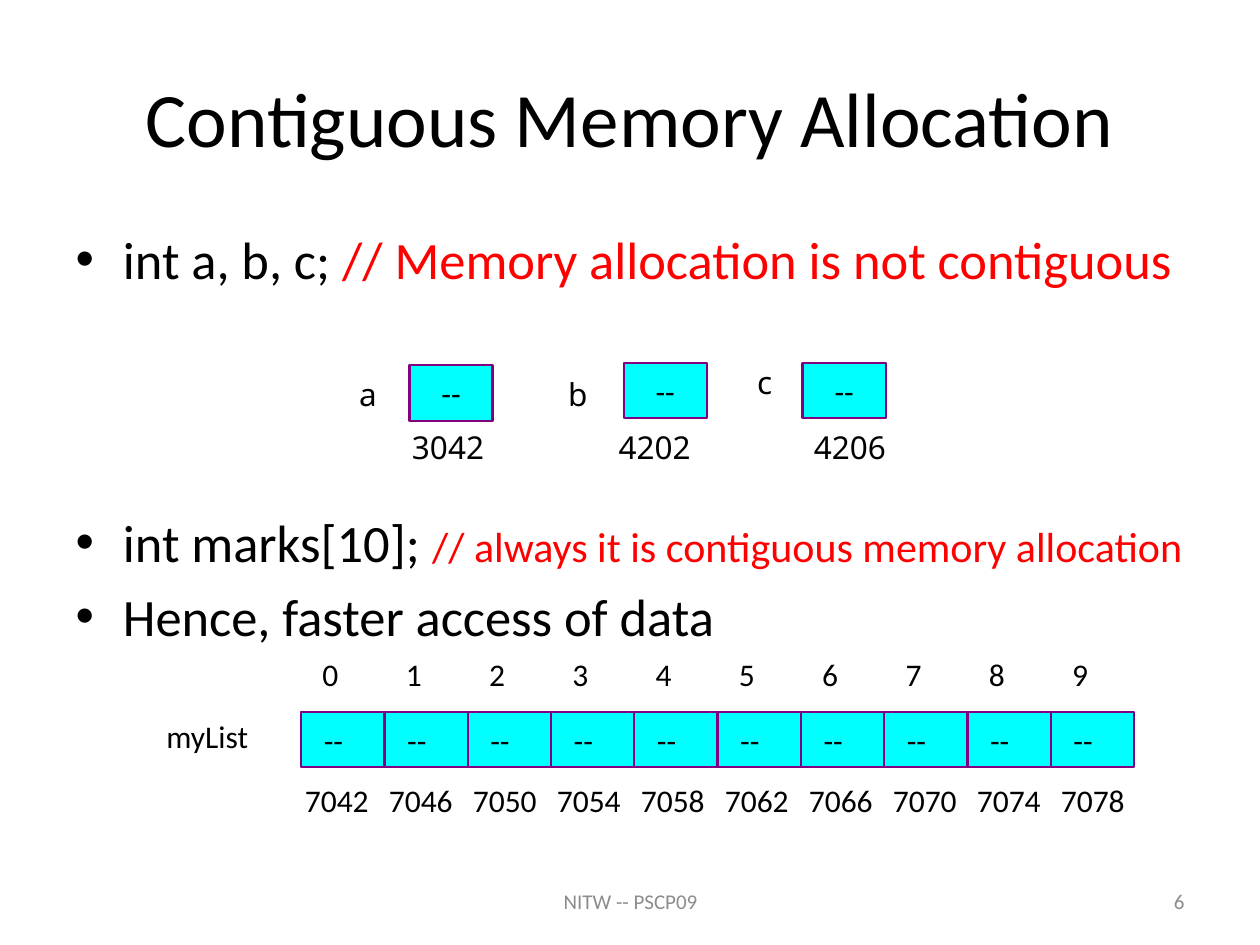
import pptx
import pptx.util
import pptx.dml.color
import pptx.enum.shapes
import pptx.enum.text

Inches, Pt = pptx.util.Inches, pptx.util.Pt
ALIGN = pptx.enum.text.PP_ALIGN
ANCHOR = pptx.enum.text.MSO_ANCHOR
BLACK, RED, GRAY, CYAN, PURPLE = "000000", "FF0000", "8C8C8C", "00FFFF", "800080"


def color(hex_string):
    return pptx.dml.color.RGBColor.from_string(hex_string)


def style(paragraph, size, hex_string=BLACK, font="Calibri", align=ALIGN.LEFT):
    paragraph.font.size = Pt(size)
    paragraph.font.name = font
    paragraph.font.color.rgb = color(hex_string)
    paragraph.alignment = align


def place(shape, left, top, width, height):
    shape.left, shape.top = Inches(left), Inches(top)
    shape.width, shape.height = Inches(width), Inches(height)


def set_text(shape, text, inset=0, wrap=False, **formats):
    frame = shape.text_frame
    frame.margin_left = frame.margin_right = Inches(inset)
    frame.margin_top = frame.margin_bottom = 0
    frame.vertical_anchor = ANCHOR.MIDDLE
    frame.word_wrap = wrap
    frame.text = text
    style(frame.paragraphs[0], **formats)


def add_label(slide, text, left, top, width, height, size=18, **formats):
    label = slide.shapes.add_textbox(
        Inches(left), Inches(top), Inches(width), Inches(height))
    set_text(label, text, size=size, **formats)


def add_cell(slide, left, top, width, height, inset=0, align=ALIGN.CENTER):
    cell = slide.shapes.add_shape(
        pptx.enum.shapes.MSO_SHAPE.RECTANGLE,
        Inches(left), Inches(top), Inches(width), Inches(height))
    cell.shadow.inherit = False
    cell.fill.solid()
    cell.fill.fore_color.rgb = color(CYAN)
    cell.line.color.rgb = color(PURPLE)
    cell.line.width = Pt(1.25)
    set_text(cell, "--", inset, size=18, align=align)


def add_title(slide, text, left, top, width, height):
    title = slide.shapes.title
    place(title, left, top, width, height)
    title.text_frame.text = text
    style(title.text_frame.paragraphs[0], 44, align=ALIGN.CENTER)


def add_bullets(slide, bullets, left, top, width, height):
    body = slide.placeholders[1]
    place(body, left, top, width, height)
    frame = body.text_frame
    frame.auto_size = pptx.enum.text.MSO_AUTO_SIZE.NONE
    for index, (code, comment, comment_size, space) in enumerate(bullets):
        paragraph = frame.paragraphs[0] if index == 0 else frame.add_paragraph()
        style(paragraph, 30)
        paragraph.space_before = Pt(space)
        paragraph.add_run().text = code
        if comment:
            run = paragraph.add_run()
            run.text = comment
            run.font.size = Pt(comment_size)
            run.font.color.rgb = color(RED)


def add_variable(slide, name, address, left, top, name_offset, address_offset):
    """Draw one variable: its cell, with name at left and address below."""
    add_cell(slide, left, top, 0.66, 0.44)
    add_label(slide, name, left + name_offset[0], top + name_offset[1],
              0.2, 0.3, font="Noto Sans")
    add_label(slide, address, left + address_offset, 3.4, 0.6, 0.3,
              font="Noto Sans")


def add_array(slide, name, first_address, count, left, top, width, height):
    """Draw the array: indices above, cells, and addresses below."""
    cell_width = width / count
    address_pitch = 6 / 9
    add_label(slide, name, left - 1.07, top + 0.04, 0.65, 0.3)
    for index in range(count):
        cell_left = left + index * cell_width
        add_cell(slide, cell_left, top, cell_width, height, 0.18, ALIGN.LEFT)
        add_label(slide, str(index), cell_left + 0.17, top - 0.45, 0.14, 0.3)
        add_label(slide, str(first_address + 4 * index),
                  left + 0.03 + index * address_pitch, top + 0.55,
                  address_pitch, 0.3, wrap=True)


presentation = pptx.Presentation()
presentation.slide_width, presentation.slide_height = Inches(10), Inches(7.5)
slide = presentation.slides.add_slide(presentation.slide_layouts[1])

# Title and list, with room for the variables after the first bullet
add_title(slide, "Contiguous Memory Allocation", 0.5, 0.3, 9, 1.25)
add_bullets(slide, [
    ("int a, b, c; ", "// Memory allocation is not contiguous", 30, 6),
    ("int marks[10]; ", "// always it is contiguous memory allocation", 24, 126),
    ("Hence, faster access of data", "", 30, 6),
], 0.5, 1.75, 9, 4.95)

# Separate variables
add_variable(slide, "a", "3042", 3.25, 2.9, (-0.4, 0.08), 0.02)
add_variable(slide, "b", "4202", 4.95, 2.88, (-0.44, 0.1), -0.04)
add_variable(slide, "c", "4206", 6.37, 2.88, (-0.36, 0), 0.09)

# Array
add_array(slide, "myList", 7042, 10, 2.39, 5.65, 6.61, 0.44)

# Footer and slide number
add_label(slide, "NITW -- PSCP09", 3.42, 6.95, 3.17, 0.4, inset=0.1, wrap=True,
          size=12, hex_string=GRAY, align=ALIGN.CENTER)
add_label(slide, "6", 7.17, 6.95, 2.33, 0.4, inset=0.1, wrap=True,
          size=12, hex_string=GRAY, align=ALIGN.RIGHT)

presentation.save("out.pptx")
